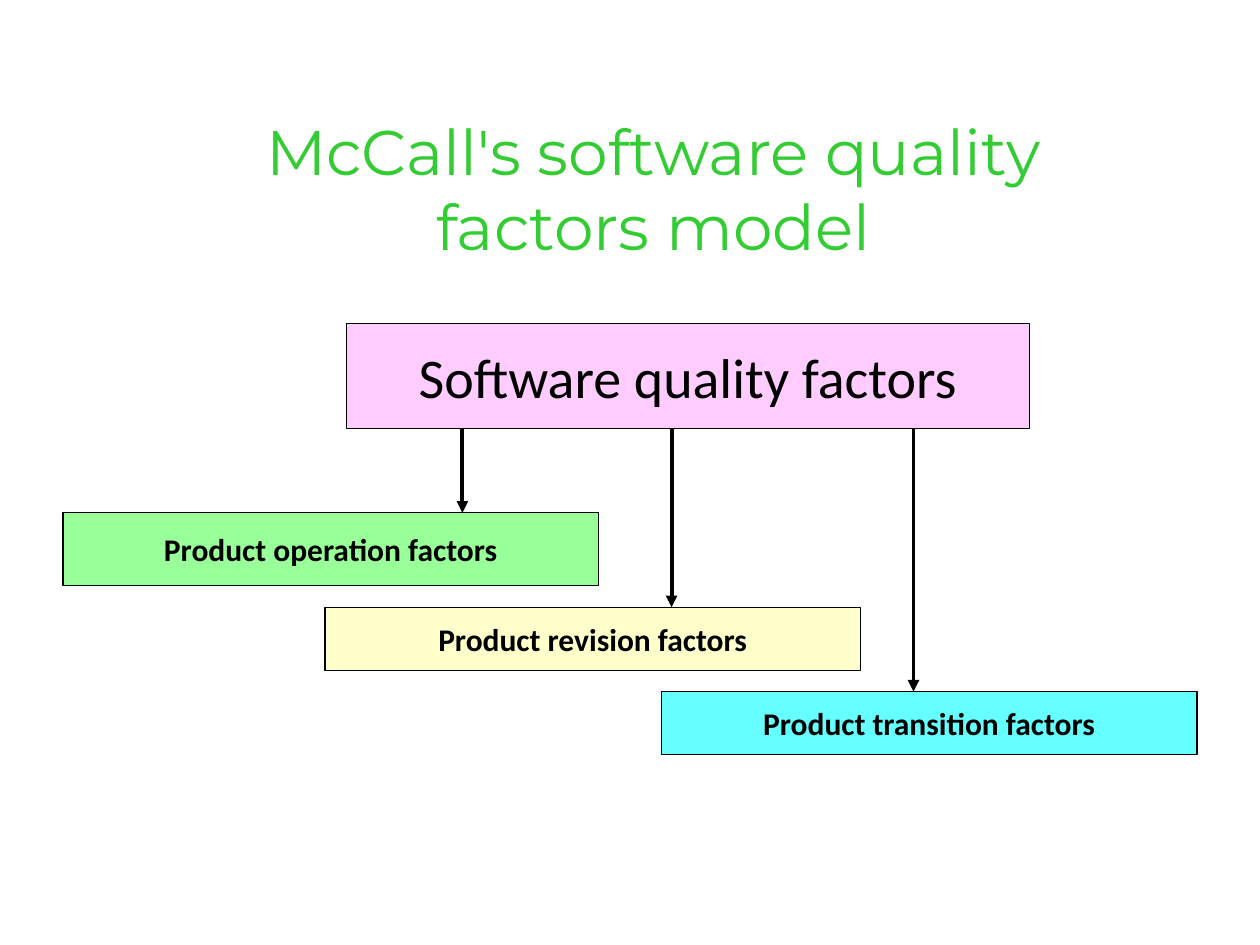
from dataclasses import dataclass

from lxml import etree
from pptx import Presentation
from pptx.dml.color import RGBColor
from pptx.enum.shapes import MSO_CONNECTOR, MSO_SHAPE
from pptx.enum.text import MSO_ANCHOR, PP_ALIGN
from pptx.oxml.ns import qn
from pptx.util import Inches, Pt

RECT = MSO_SHAPE.RECTANGLE
LINE = MSO_CONNECTOR.STRAIGHT
MIDDLE = MSO_ANCHOR.MIDDLE
CENTER = PP_ALIGN.CENTER


@dataclass(frozen=True)
class Theme:
    ink: str = "000000"
    title: str = "33CC33"
    root: str = "FFCCFF"
    green: str = "99FF99"
    cream: str = "FFFFCC"
    aqua: str = "66FFFF"
    head: str = "Montserrat"
    body: str = "Calibri"
    big: float = 36
    mid: float = 32
    small: float = 18
    edge: float = 0.75
    arrow: float = 2.25


THEME = Theme()


def color(code):
    return RGBColor.from_string(code)


def write(frame, lines, face, size, ink, bold=False):
    frame.word_wrap = False
    for i, line in enumerate(lines):
        para = frame.paragraphs[0] if i == 0 else frame.add_paragraph()
        para.text = line
        para.alignment = CENTER
        font = para.font
        font.name, font.size, font.bold = face, Pt(size), bold
        font.color.rgb = color(ink)


def add_title(slide, box, lines):
    text = slide.shapes.add_textbox(*map(Inches, box))
    write(text.text_frame, lines, THEME.head, THEME.big, THEME.title)


def add_box(slide, box, label, fill, size, bold):
    shape = slide.shapes.add_shape(RECT, *map(Inches, box))
    shape.shadow.inherit = False
    shape.fill.solid()
    shape.fill.fore_color.rgb = color(fill)
    shape.line.color.rgb = color(THEME.ink)
    shape.line.width = Pt(THEME.edge)
    frame = shape.text_frame
    frame.vertical_anchor = MIDDLE
    write(frame, [label], THEME.body, size, THEME.ink, bold)


def add_arrow(slide, x, top, end):
    arrow = slide.shapes.add_connector(LINE, *map(Inches, (x, top, x, end)))
    arrow.line.color.rgb = color(THEME.ink)
    arrow.line.width = Pt(THEME.arrow)
    tail = etree.SubElement(arrow.line._get_or_add_ln(), qn("a:tailEnd"))
    tail.set("type", "triangle")
    etree.SubElement(arrow._element.spPr, qn("a:effectLst"))


def add_tree(slide, box):
    left, top, width, height = box
    root = (left + 2.25, top, 5.42, 0.83)
    base = top + root[3]
    add_box(slide, root, "Software quality factors", THEME.root, THEME.mid, False)
    leaves = [
        ("Product operation factors", THEME.green, 0, 1.5, 0.58, 3.17),
        ("Product revision factors", THEME.cream, 2.08, 2.25, 0.5, 4.83),
        ("Product transition factors", THEME.aqua, width - 4.25, height - 0.5, 0.5, 6.75),
    ]
    for label, fill, x, y, tall, stem in leaves:
        leaf = (left + x, top + y, 4.25, tall)
        add_box(slide, leaf, label, fill, THEME.small, True)
        add_arrow(slide, left + stem, base, top + y)


def main():
    deck = Presentation()
    deck.slide_width, deck.slide_height = Inches(10), Inches(7.5)
    slide = deck.slides.add_slide(deck.slide_layouts[6])
    add_tree(slide, (0.5, 2.57, 9, 3.42))
    add_title(slide, (1.74, 0.84, 6.89, 1.26),
              ["McCall's software quality", "factors model"])
    deck.save("out.pptx")


if __name__ == "__main__":
    main()
